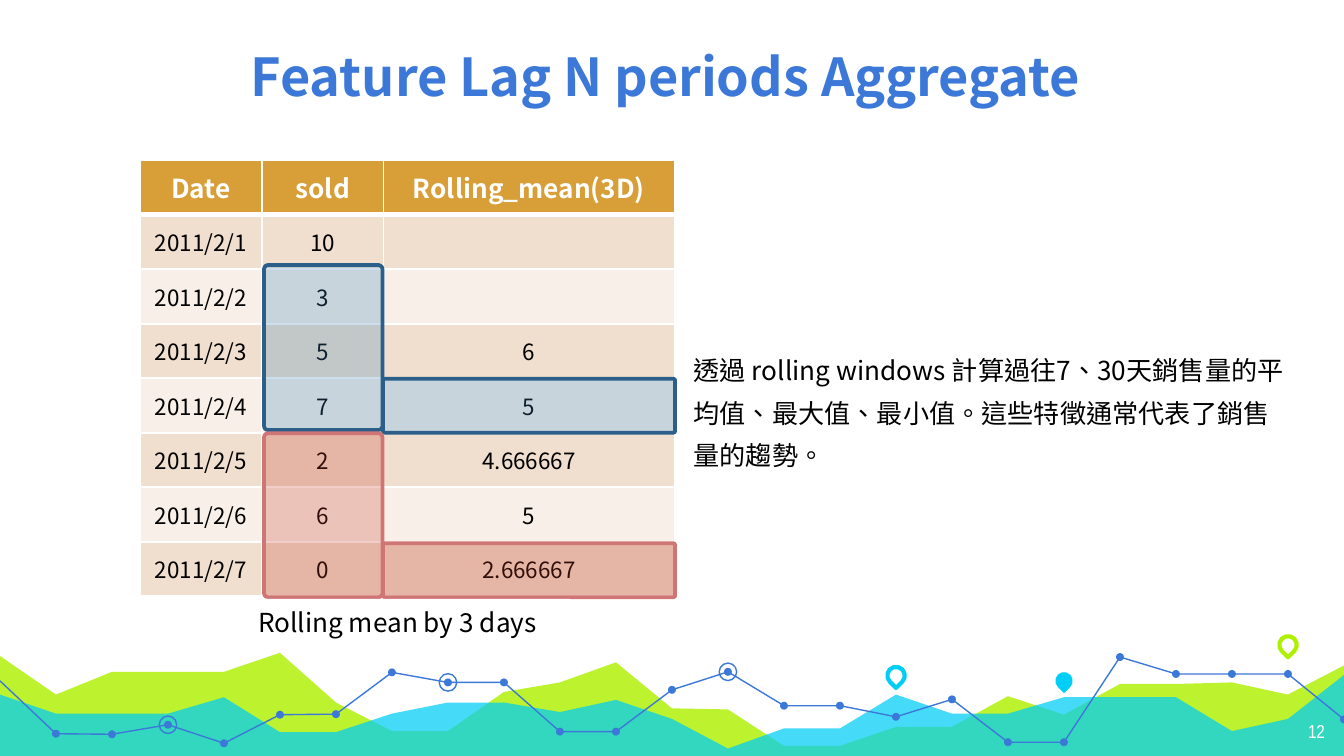
from dataclasses import dataclass
from typing import Optional

from lxml.etree import SubElement
from pptx import Presentation
from pptx.dml.color import RGBColor
from pptx.enum.lang import MSO_LANGUAGE_ID
from pptx.enum.shapes import MSO_SHAPE
from pptx.enum.text import MSO_ANCHOR, MSO_AUTO_SIZE, PP_ALIGN
from pptx.oxml.ns import qn
from pptx.util import Cm, Pt

FONT = "Noto Sans CJK SC"
COLORS = {
    "blue": "3C78D8", "lime": "AFF000", "cyan": "00CEF6", "white": "FFFFFF", "black": "000000",
    "header": "D89F39", "band": "F0DFCE", "light": "F8F0E8",
    "window": "3A81BA", "window edge": "2B5F8A", "alert": "C83F2C", "alert edge": "D07576",
}
PAGE_WIDTH, PAGE_HEIGHT = 25.4, 14.29

# Footer scenery: one height per grid step, in cm
STEP = PAGE_WIDTH / 24
LIME_HILLS = [12.4, 13.13, 12.7, 12.7, 12.7, 12.34, 13.28, 13.82, 13.82, 13.08, 12.9, 12.52, 13.39,
              13.41, 14.1, 14.1, 13.74, 13.74, 13.16, 13.51, 12.93, 12.93, 12.9, 13.13, 12.58]
CYAN_HILLS = [13.13, 13.49, 13.49, 13.49, 13.18, 13.84, 13.84, 13.49, 13.28, 13.28, 13.46, 13.23, 13.59,
              14.15, 13.77, 13.77, 13.13, 13.49, 13.49, 13.18, 13.18, 13.18, 13.82, 13.59, 12.76]
TREND = [12.87, 13.87, 13.88, 13.7, 14.05, 13.51, 13.5, 12.71, 12.9, 12.9, 13.83, 13.83, 13.04,
         12.7, 13.34, 13.34, 13.55, 13.22, 14.03, 14.03, 12.42, 12.74, 12.74, 12.74, 13.6]
TREND_SECTIONS = [(0, 11), (11, 20), (20, 24)]
RINGED = [3, 8, 13]
DOT, RING = 0.15, 0.33

ROWS = [
    ("Date", "sold", "Rolling_mean(3D)"),
    ("2011/2/1", "10", ""),
    ("2011/2/2", "3", ""),
    ("2011/2/3", "5", "6"),
    ("2011/2/4", "7", "5"),
    ("2011/2/5", "2", "4.666667"),
    ("2011/2/6", "6", "5"),
    ("2011/2/7", "0", "2.666667"),
]
COLUMN_WIDTHS = [2.3, 2.3, 5.5]
ROW_HEIGHT = 1.03


@dataclass
class Box:
    left: float
    top: float
    width: float
    height: float

    def lengths(self) -> tuple:
        return Cm(self.left), Cm(self.top), Cm(self.width), Cm(self.height)


@dataclass
class Pin:
    step: int
    middle: float
    color: str
    filled: bool


@dataclass
class Highlight:
    box: Box
    color: str


PINS = [Pin(16, 12.77, "cyan", False), Pin(19, 12.87, "cyan", True), Pin(23, 12.19, "lime", False)]
HIGHLIGHTS = [
    Highlight(Box(4.99, 5.01, 2.24, 3.12), "window"),
    Highlight(Box(7.24, 7.16, 5.52, 1.02), "window"),
    Highlight(Box(4.99, 8.19, 2.24, 3.1), "alert"),
    Highlight(Box(7.24, 10.27, 5.52, 1.02), "alert"),
]


def rgb(name: str) -> RGBColor:
    return RGBColor.from_string(COLORS[name])


def paint(shape, fill: Optional[str] = None, line: Optional[str] = None,
          weight: float = 0.75, opacity: int = 100) -> None:
    shape.shadow.inherit = False
    if fill:
        shape.fill.solid()
        shape.fill.fore_color.rgb = rgb(fill)
        if opacity < 100:
            color = shape._element.spPr.find(qn("a:solidFill"))[0]
            SubElement(color, qn("a:alpha")).set("val", str(opacity * 1000))
    else:
        shape.fill.background()
    if line:
        shape.line.color.rgb = rgb(line)
        shape.line.width = Pt(weight)
    else:
        shape.line.fill.background()


def write(frame, text: str, size: float, color: str, align=PP_ALIGN.LEFT,
          bold: bool = False, font: str = FONT):
    frame.text = text
    paragraph = frame.paragraphs[0]
    paragraph.alignment = align
    paragraph.font.size = Pt(size)
    paragraph.font.bold = bold
    paragraph.font.name = font
    paragraph.font.color.rgb = rgb(color)
    defaults = paragraph._p.pPr.find(qn("a:defRPr"))
    SubElement(defaults, qn("a:ea")).set("typeface", font)
    return paragraph


def set_margins(frame, size: float) -> None:
    frame.margin_left = frame.margin_right = frame.margin_top = frame.margin_bottom = Cm(size)


def draw_path(page, points: list, closed: bool):
    corners = [(Cm(x), Cm(y)) for x, y in points]
    builder = page.shapes.build_freeform(*corners[0])
    builder.add_line_segments(corners[1:], close=closed)
    return builder.convert_to_shape()


def draw_hills(page, heights: list, color: str, opacity: int) -> None:
    ridge = [(i * STEP, y) for i, y in enumerate(heights)]
    base = [(PAGE_WIDTH, PAGE_HEIGHT), (0, PAGE_HEIGHT)]
    paint(draw_path(page, ridge + base, True), fill=color, opacity=opacity)


def draw_centred(page, kind, step: int, middle: float, size: float):
    box = Box(step * STEP - size / 2, middle - size / 2, size, size)
    return page.shapes.add_shape(kind, *box.lengths())


def draw_footer(page) -> None:
    draw_hills(page, LIME_HILLS, "lime", 82)
    draw_hills(page, CYAN_HILLS, "cyan", 73)
    for first, last in TREND_SECTIONS:
        points = [(i * STEP, TREND[i]) for i in range(first, last + 1)]
        paint(draw_path(page, points, False), line="blue")
    for step in range(1, len(TREND)):
        paint(draw_centred(page, MSO_SHAPE.OVAL, step, TREND[step], DOT), fill="blue")
    for step in RINGED:
        paint(draw_centred(page, MSO_SHAPE.OVAL, step, TREND[step], RING), line="blue")
    for pin in PINS:
        shape = draw_centred(page, MSO_SHAPE.TEAR, pin.step, pin.middle, RING)
        shape.rotation = 135
        if pin.filled:
            paint(shape, fill=pin.color)
        else:
            paint(shape, line=pin.color, weight=2.25)


def add_borders(cell, bottom: float) -> None:
    properties = cell._tc.get_or_add_tcPr()
    widths = {"a:lnL": 1, "a:lnR": 1, "a:lnT": 1, "a:lnB": bottom}
    for position, (tag, width) in enumerate(widths.items()):
        line = properties.makeelement(qn(tag), {"w": str(Pt(width))})
        fill = SubElement(line, qn("a:solidFill"))
        SubElement(fill, qn("a:srgbClr")).set("val", COLORS["white"])
        properties.insert(position, line)


def draw_table(page) -> None:
    box = Box(2.65, 3.03, sum(COLUMN_WIDTHS), ROW_HEIGHT * len(ROWS))
    table = page.shapes.add_table(len(ROWS), len(COLUMN_WIDTHS), *box.lengths()).table
    for column, width in zip(table.columns, COLUMN_WIDTHS):
        column.width = Cm(width)
    for r, values in enumerate(ROWS):
        table.rows[r].height = Cm(ROW_HEIGHT)
        header = r == 0
        for c, value in enumerate(values):
            cell = table.cell(r, c)
            cell.vertical_anchor = MSO_ANCHOR.MIDDLE
            if not header and c != 1:
                set_margins(cell, 0)
            write(cell.text_frame, value, 14 if header else 12,
                  "white" if header else "black", PP_ALIGN.CENTER, header)
            cell.fill.solid()
            cell.fill.fore_color.rgb = rgb("header" if header else "band" if r % 2 else "light")
            add_borders(cell, 3 if header else 1)


def main() -> None:
    deck = Presentation()
    deck.slide_width, deck.slide_height = Cm(PAGE_WIDTH), Cm(PAGE_HEIGHT)
    page = deck.slides.add_slide(deck.slide_layouts[5])
    draw_footer(page)

    # Title
    title = page.shapes.title
    title.left, title.top, title.width, title.height = Box(0.33, 0.5, 24.71, 1.78).lengths()
    title.text_frame.vertical_anchor = MSO_ANCHOR.BOTTOM
    set_margins(title.text_frame, 0.25)
    write(title.text_frame, "Feature Lag N periods Aggregate ", 28, "blue", PP_ALIGN.CENTER, True)

    # Slide number
    number = page.shapes.add_textbox(*Box(23.77, 13.4, 1.52, 0.89).lengths()).text_frame
    number.word_wrap = True
    set_margins(number, 0.25)
    write(number, "12", 10, "white", PP_ALIGN.RIGHT, font="Arial Narrow")

    # Table with its rolling windows
    draw_table(page)
    for mark in HIGHLIGHTS:
        shape = page.shapes.add_shape(MSO_SHAPE.ROUNDED_RECTANGLE, *mark.box.lengths())
        shape.adjustments[0] = 0.035
        paint(shape, mark.color, mark.color + " edge", 2, 25)

    # Caption
    caption = page.shapes.add_shape(MSO_SHAPE.RECTANGLE, *Box(4.63, 11.32, 6.15, 0.86).lengths())
    paint(caption, fill="white")
    caption.text_frame.word_wrap = False
    caption.text_frame.auto_size = MSO_AUTO_SIZE.SHAPE_TO_FIT_TEXT
    write(caption.text_frame, "Rolling mean by 3 days", 14, "black")

    # Explanation
    note = page.shapes.add_textbox(*Box(12.86, 6.35, 11.81, 2.62).lengths()).text_frame
    note.word_wrap = True
    note.auto_size = MSO_AUTO_SIZE.SHAPE_TO_FIT_TEXT
    paragraph = write(note, "透過 rolling windows 計算過往7、30天銷售量的平均值、最大值、最小值。"
                      "這些特徵通常代表了銷售量的趨勢。", 14, "black")
    paragraph.runs[0].font.language_id = MSO_LANGUAGE_ID.TRADITIONAL_CHINESE
    paragraph.line_spacing = Pt(23)
    paragraph.space_before = paragraph.space_after = Pt(6)

    deck.save("out.pptx")


if __name__ == "__main__":
    main()
